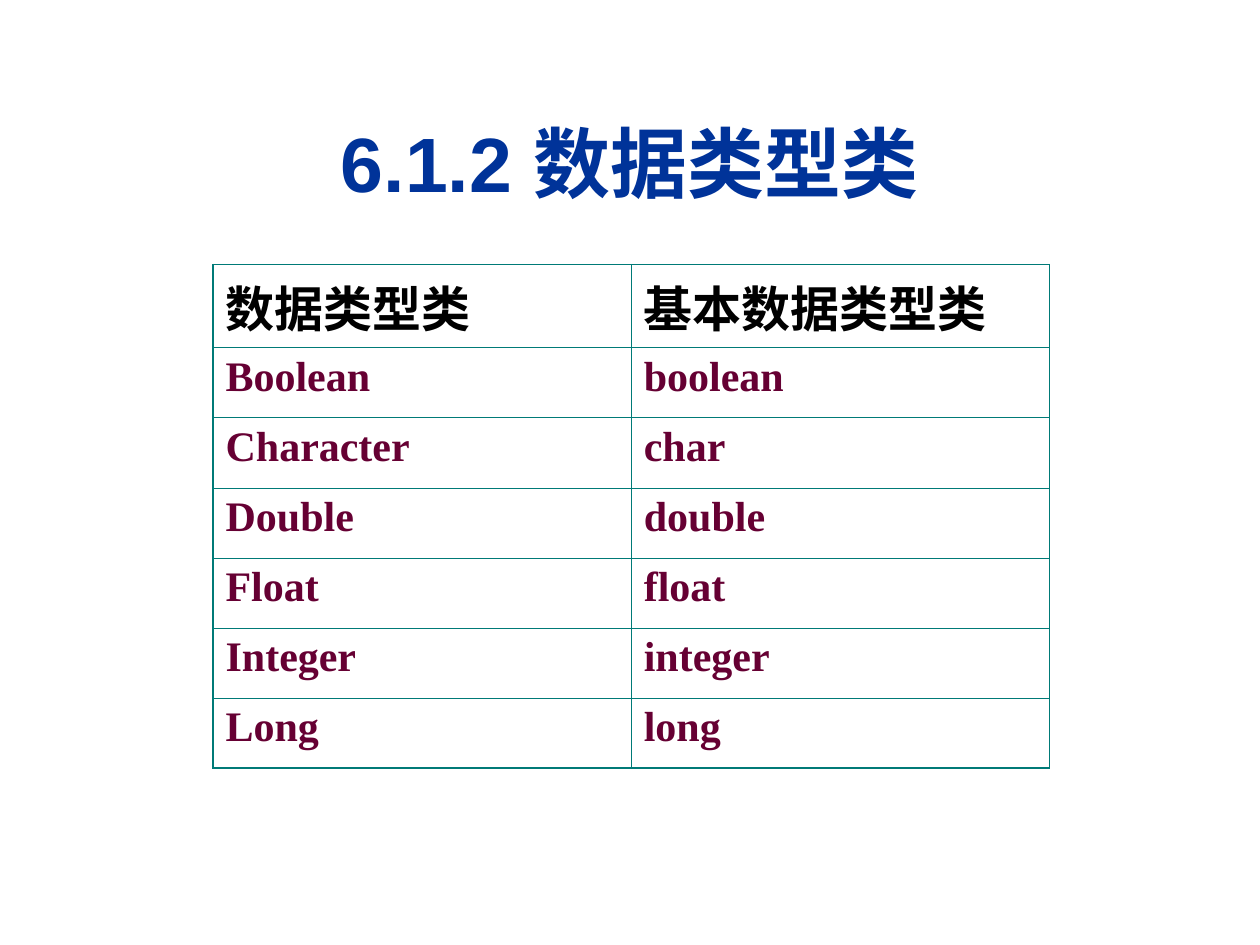
from dataclasses import dataclass
from typing import NamedTuple

from lxml.etree import SubElement
from pptx import Presentation
from pptx.dml.color import RGBColor
from pptx.enum.text import MSO_ANCHOR, PP_ALIGN
from pptx.oxml.ns import qn
from pptx.util import Inches, Pt


class TextStyle(NamedTuple):
    font: str
    size: float
    color: str


@dataclass(frozen=True)
class Theme:
    title: TextStyle = TextStyle("Arial", 44, "003399")
    header: TextStyle = TextStyle("Arial", 28, "000000")
    body: TextStyle = TextStyle("Times New Roman", 24, "660033")
    border: str = "007A77"
    outer_width: float = 1.08
    inner_width: float = 0.45


class TypePair(NamedTuple):
    wrapper: str
    primitive: str


THEME = Theme()
TYPE_PAIRS = [
    TypePair("数据类型类", "基本数据类型类"),
    TypePair("Boolean", "boolean"),
    TypePair("Character", "char"),
    TypePair("Double", "double"),
    TypePair("Float", "float"),
    TypePair("Integer", "integer"),
    TypePair("Long", "long"),
]
TABLE_HEIGHT = 4
HEADER_HEIGHT = 0.66


def add_run(paragraph, text: str, style: TextStyle) -> None:
    run = paragraph.add_run()
    run.text = text
    run.font.name = style.font
    run.font.size = Pt(style.size)
    run.font.bold = True
    run.font.color.rgb = RGBColor.from_string(style.color)


def add_title(slide) -> None:
    shape = slide.shapes.add_textbox(Inches(0.33), Inches(0.66), Inches(9.34), Inches(1.25))
    frame = shape.text_frame
    frame.word_wrap = True
    frame.vertical_anchor = MSO_ANCHOR.MIDDLE
    paragraph = frame.paragraphs[0]
    paragraph.alignment = PP_ALIGN.CENTER
    add_run(paragraph, "6.1.2 数据类型类", THEME.title)


def set_border(cell, side: str, outer: bool) -> None:
    width = THEME.outer_width if outer else THEME.inner_width
    properties = cell._tc.get_or_add_tcPr()
    line = SubElement(properties, qn(f"a:ln{side}"), w=str(Pt(width)))
    fill = SubElement(line, qn("a:solidFill"))
    SubElement(fill, qn("a:srgbClr"), val=THEME.border)


def add_type_table(slide) -> None:
    row_count, column_count = len(TYPE_PAIRS), 2
    body_height = (TABLE_HEIGHT - HEADER_HEIGHT) / (row_count - 1)
    shape = slide.shapes.add_table(
        row_count, column_count, Inches(1.69), Inches(2.1), Inches(6.64), Inches(TABLE_HEIGHT)
    )
    table = shape.table
    table.first_row = False
    table.horz_banding = False
    for row_index, pair in enumerate(TYPE_PAIRS):
        is_header = row_index == 0
        table.rows[row_index].height = Inches(HEADER_HEIGHT if is_header else body_height)
        style = THEME.header if is_header else THEME.body
        for column_index, text in enumerate(pair):
            cell = table.cell(row_index, column_index)
            add_run(cell.text_frame.paragraphs[0], text, style)
            outer_sides = {
                "L": column_index == 0,
                "R": column_index == column_count - 1,
                "T": is_header,
                "B": row_index == row_count - 1,
            }
            for side, outer in outer_sides.items():
                set_border(cell, side, outer)
            cell.fill.background()


def main() -> None:
    presentation = Presentation()
    presentation.slide_width = Inches(10)
    presentation.slide_height = Inches(7.5)
    slide = presentation.slides.add_slide(presentation.slide_layouts[6])
    add_title(slide)
    add_type_table(slide)
    presentation.save("out.pptx")


if __name__ == "__main__":
    main()
